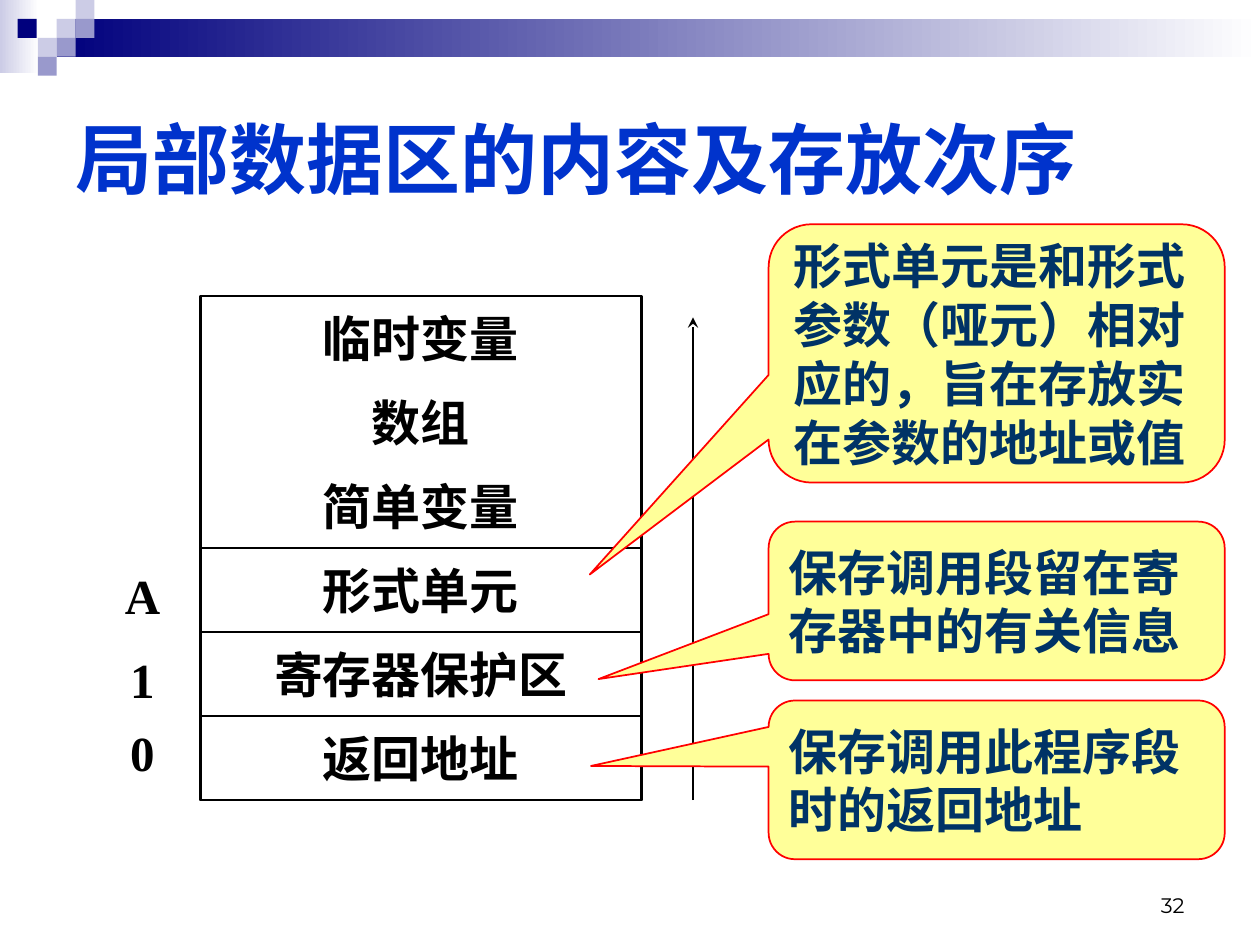
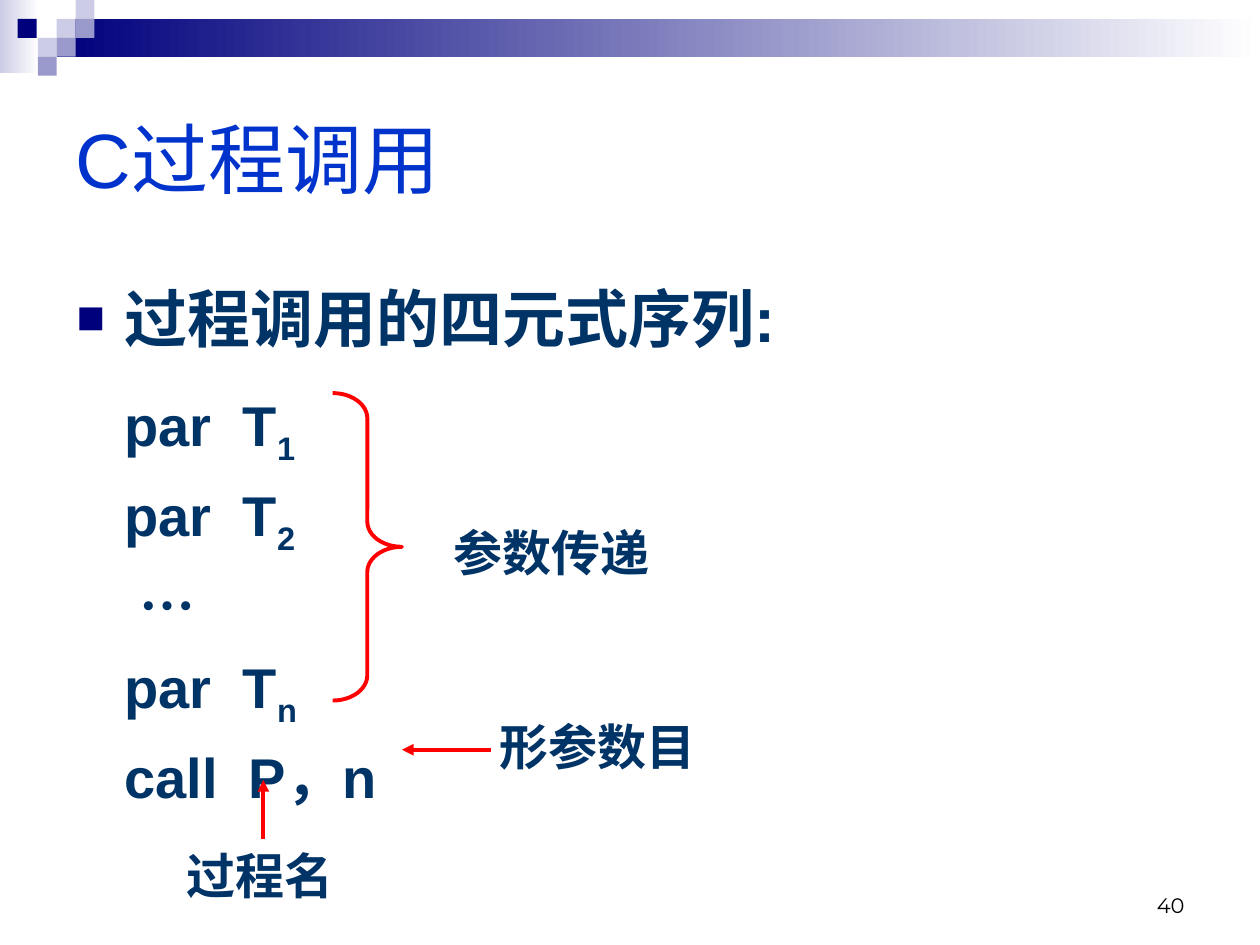
from lxml import etree
from pptx import Presentation
from pptx.dml.color import RGBColor
from pptx.enum.shapes import MSO_CONNECTOR, MSO_SHAPE
from pptx.enum.text import MSO_ANCHOR, MSO_AUTO_SIZE, PP_ALIGN
from pptx.oxml.ns import qn
from pptx.util import Emu, Pt

RECT = MSO_SHAPE.RECTANGLE
CALLOUT = MSO_SHAPE.ROUNDED_RECTANGULAR_CALLOUT
BRACE = MSO_SHAPE.RIGHT_BRACE
STRAIGHT = MSO_CONNECTOR.STRAIGHT
TOP, MIDDLE, BOTTOM = MSO_ANCHOR.TOP, MSO_ANCHOR.MIDDLE, MSO_ANCHOR.BOTTOM
LEFT, CENTER, RIGHT = PP_ALIGN.LEFT, PP_ALIGN.CENTER, PP_ALIGN.RIGHT
NO_FIT = MSO_AUTO_SIZE.NONE

WIDTH, HEIGHT = 1000, 750
SANS, SERIF, HAN, PAGE = "Arial", "Times New Roman", "Noto Sans CJK SC", "Montserrat"
BLACK, WHITE, RED, CREAM = "000000", "FFFFFF", "FF0000", "FFFF99"
NAVY, MID, PALE = "00007D", "9999CC", "CCCCE6"
BLUE, INK = "0033CC", "003366"


def px(n):
    return Emu(round(n * 9144))


def rgb(code):
    return RGBColor.from_string(code)


def write(par, text, size=28, color=INK, font=SANS, bold=True, align=LEFT):
    """Fill a paragraph; a part after "_" is set as a subscript."""
    par.alignment = align
    for i, part in enumerate(text.split("_")):
        run = par.add_run()
        run.text = part
        run.font.size = Pt(size)
        run.font.bold = bold
        run.font.color.rgb = rgb(color)
        run.font.name = font
        props = run._r.get_or_add_rPr()
        etree.SubElement(props, qn("a:ea")).set("typeface", HAN)
        if i:
            props.set("baseline", "-25000")


def frame(shape, anchor):
    body = shape.text_frame
    body.word_wrap = True
    body.auto_size = NO_FIT
    body.vertical_anchor = anchor
    return body


def label(slide, box, text, anchor=MIDDLE, **style):
    shape = slide.shapes.add_textbox(*map(px, box))
    write(frame(shape, anchor).paragraphs[0], text, **style)


def draw(slide, kind, box, fill=None, line=None, weight=1.5):
    shape = slide.shapes.add_shape(kind, *map(px, box))
    shape.shadow.inherit = False
    if fill is None:
        shape.fill.background()
    elif isinstance(fill, tuple):
        shape.fill.gradient()
        shape.fill.gradient_angle = 0
        for stop, code in zip(shape.fill.gradient_stops, fill):
            stop.color.rgb = rgb(code)
    else:
        shape.fill.solid()
        shape.fill.fore_color.rgb = rgb(fill)
    if line:
        shape.line.color.rgb = rgb(line)
        shape.line.width = Pt(weight)
    else:
        shape.line.fill.background()
    return shape


def arrow(slide, start, end, color, weight, head):
    link = slide.shapes.add_connector(STRAIGHT, *map(px, start + end))
    link.line.color.rgb = rgb(color)
    link.line.width = Pt(weight)
    etree.SubElement(link.line._get_or_add_ln(), qn("a:tailEnd")).set("type", head)
    etree.SubElement(link._element.spPr, qn("a:effectLst"))


def band(slide):
    draw(slide, RECT, (0, 0, 31, 58), (PALE, WHITE))
    draw(slide, RECT, (45, 15, WIDTH - 45, 30), (NAVY, WHITE))
    tiles = [(45, 15, PALE), (60, 0, PALE), (60, 15, MID), (30, 30, PALE),
             (14, 15, NAVY), (45, 30, MID), (30, 45, MID)]
    for x, y, color in tiles:
        draw(slide, RECT, (x, y, 15, 15), color)


def page(deck, title, number, bold):
    slide = deck.slides.add_slide(deck.slide_layouts[5])
    band(slide)
    head = slide.shapes.title
    head.left, head.top, head.width, head.height = map(px, (50, 50, 900, 150))
    write(frame(head, MIDDLE).paragraphs[0], title, size=44, color=BLUE, bold=bold)
    label(slide, (717, 683, 233, 50), number, BOTTOM, size=12, color=BLACK,
          font=PAGE, bold=False, align=RIGHT)
    return slide


def stack(slide, box):
    """Draw the memory cells, their offsets and the growth arrow."""
    x, y, w, h = box
    cells = ["临时变量", "数组", "简单变量", "形式单元", "寄存器保护区", "返回地址"]
    style = {"color": BLACK, "font": SERIF, "align": CENTER}
    step = h / len(cells)
    draw(slide, RECT, box, line=BLACK)
    for i, name in enumerate(cells):
        cell = (x, y + i * step, w, step)
        if i > 2:
            draw(slide, RECT, cell, line=BLACK)
        label(slide, cell, name, **style)
    for mark, drop in (("A", 208), ("1", 275), ("0", 333)):
        label(slide, (x - 92, y + drop, 92, 58), mark, **style)
    rail = x + w + 41
    arrow(slide, (rail, y + h), (rail, y + 17), BLACK, 1.5, "stealth")


def callout(slide, box, tip, text):
    x, y, w, h = box
    shape = draw(slide, CALLOUT, box, CREAM, RED, 1)
    shape.adjustments[0] = (tip[0] - x) / w - 0.5
    shape.adjustments[1] = (tip[1] - y) / h - 0.5
    write(frame(shape, MIDDLE).paragraphs[0], text)


def bullet(par):
    props = par._p.get_or_add_pPr()
    props.set("indent", str(px(-38)))
    color = etree.SubElement(props, qn("a:buClr"))
    etree.SubElement(color, qn("a:srgbClr")).set("val", NAVY)
    etree.SubElement(props, qn("a:buSzPct")).set("val", "75000")
    etree.SubElement(props, qn("a:buFont")).set("typeface", SANS)
    etree.SubElement(props, qn("a:buChar")).set("char", "■")


def code(slide, box):
    """Write the bulleted heading and the instruction list under it."""
    body = frame(slide.shapes.add_textbox(*map(px, box)), TOP)
    par = body.paragraphs[0]
    par._p.get_or_add_pPr().set("marL", str(px(38)))
    bullet(par)
    par.space_after = Pt(12)
    write(par, "过程调用的四元式序列:", size=36)
    for line in ("par  T_1", "par  T_2", "…", "par  T_n", "call  P，n"):
        dots = line == "…"
        par = body.add_paragraph()
        par._p.get_or_add_pPr().set("marL", str(px(50 if dots else 38)))
        par.space_before = Pt(8)
        write(par, line, size=32, font=HAN if dots else SANS)


def notes(slide, box):
    """Mark up the instruction list with a brace, arrows and labels."""
    x, y, w, h = box
    brace = draw(slide, BRACE, (x + 213, y + 95, 55, 244), line=RED, weight=2.25)
    brace.adjustments[0] = 20 / 55
    for left, drop, wide, text in ((299, 193, 236, "参数传递"),
                                   (87, 449, 150, "过程名"),
                                   (336, 347, 200, "形参数目")):
        label(slide, (x + left, y + drop, wide, 57), text, TOP)
    for start, end in (((158, 449), (158, 402)), ((339, 378), (268, 378))):
        arrow(slide, (x + start[0], y + start[1]), (x + end[0], y + end[1]),
              RED, 2.25, "triangle")


def main():
    deck = Presentation()
    deck.slide_width, deck.slide_height = px(WIDTH), px(HEIGHT)

    area = page(deck, "局部数据区的内容及存放次序", "32", True)
    stack(area, (159, 235, 350, 400))
    callout(area, (610, 556, 362, 126), (469, 608), "保存调用此程序段时的返回地址")
    callout(area, (610, 414, 362, 126), (475, 539), "保存调用段留在寄存器中的有关信息")
    callout(area, (610, 178, 362, 205), (468, 456),
            "形式单元是和形式参数（哑元）相对应的，旨在存放实在参数的地址或值")

    call = page(deck, "C过程调用", "40", False)
    box = (51, 217, 900, 425)
    code(call, box)
    notes(call, box)
    deck.save("out.pptx")


if __name__ == "__main__":
    main()
